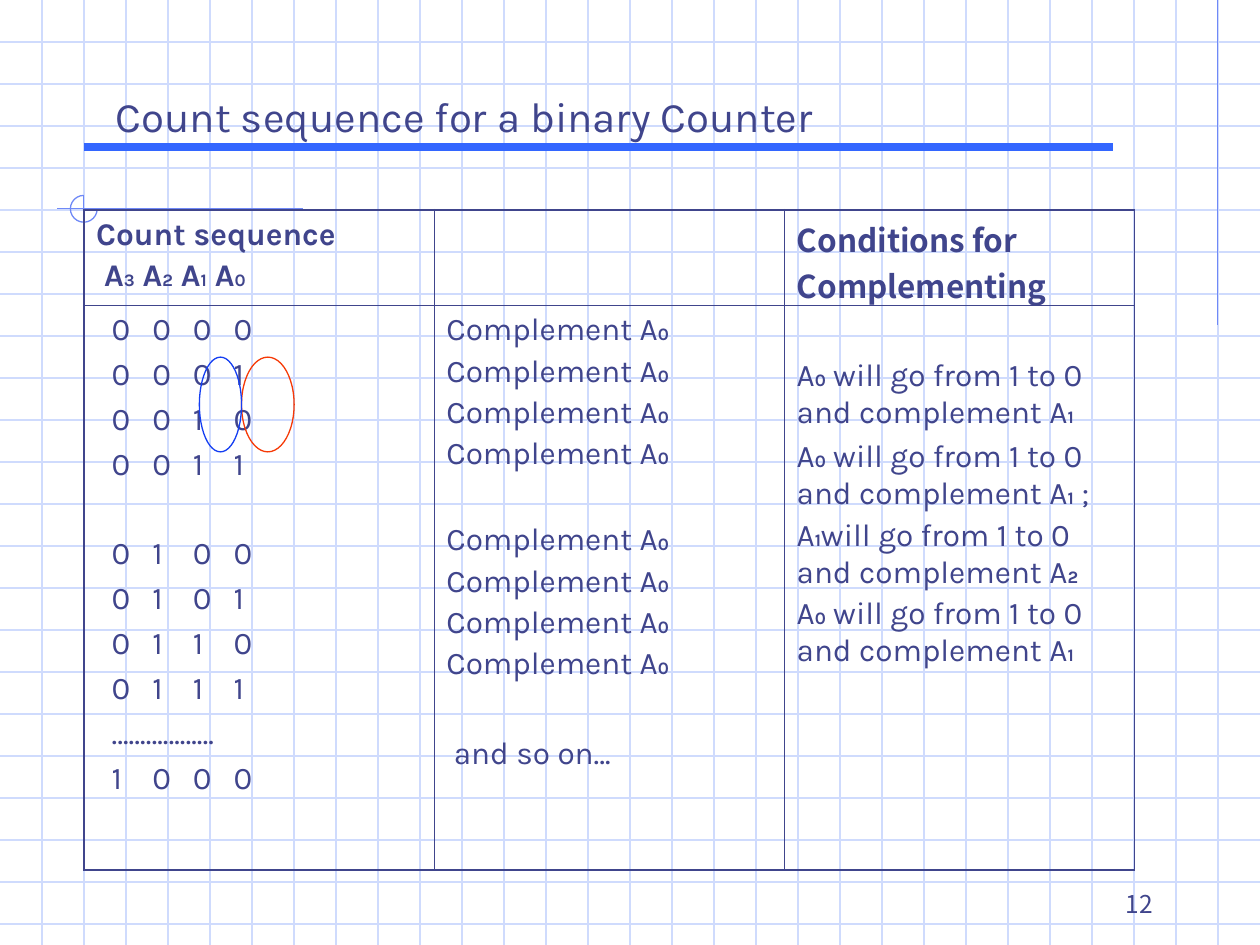
from dataclasses import dataclass

from lxml.etree import SubElement
from pptx import Presentation
from pptx.dml.color import RGBColor as RGB
from pptx.enum.shapes import MSO_CONNECTOR as Connector, MSO_SHAPE as Shape
from pptx.enum.text import MSO_ANCHOR as Anchor, MSO_AUTO_SIZE as AutoSize, PP_ALIGN as Align
from pptx.oxml.ns import qn
from pptx.util import Cm, Pt


@dataclass(frozen=True)
class Theme:
    ink: str = "40458C"
    grid: str = "CFDBFD"
    accent: str = "6F89F7"
    rule: str = "3366FF"
    red: str = "F63906"
    blue: str = "143EF2"
    font: str = "Karla"
    heading_font: str = "Noto Sans CJK KR"
    title_size: int = 24
    body_size: int = 18
    number_size: int = 14
    subscript_size: int = 10


theme = Theme()


def draw_line(x1, y1, x2, y2, color, width=0.75):
    line = slide.shapes.add_connector(Connector.STRAIGHT, Cm(x1), Cm(y1), Cm(x2), Cm(y2))
    line.line.color.rgb = RGB.from_string(color)
    line.line.width = Pt(width)
    SubElement(line._element.spPr, qn("a:effectLst"))


def write(paragraph, text, size, font=theme.font, bold=False):
    """Fill a paragraph; a character after an underscore becomes a small bold index."""
    first, *rest = text.split("_")
    pieces = [(first, False)]
    for part in rest:
        pieces += [(part[0], True), (part[1:], False)]
    for piece, is_index in pieces:
        if piece:
            run = paragraph.add_run()
            run.text = piece
            run.font.name = font
            run.font.size = Pt(theme.subscript_size if is_index else size)
            run.font.bold = bold or is_index
            run.font.color.rgb = RGB.from_string(theme.ink)


deck = Presentation()
deck.slide_width, deck.slide_height = Cm(25.4), Cm(19.05)
slide = deck.slides.add_slide(deck.slide_layouts[5])

# Squared paper with its corner ornament
pitch = 25.4 / 30
for row in range(1, 23):
    draw_line(0, row * pitch, 25.4, row * pitch, theme.grid)
for column in range(1, 30):
    draw_line(column * pitch, 0, column * pitch, 19.05, theme.grid)
draw_line(24.55, 0, 24.55, 6.55, theme.accent)
draw_line(6.1, 4.21, 1.14, 4.21, theme.accent)
draw_line(1.69, 3.94, 1.69, 10.39, theme.accent)
corner = slide.shapes.add_shape(Shape.ARC, Cm(1.42), Cm(3.94), Cm(0.54), Cm(0.54))
corner.adjustments[0], corner.adjustments[1] = 0, 162  # right round to top
corner.shadow.inherit = False
corner.fill.background()
corner.line.color.rgb = RGB.from_string(theme.accent)
corner.line.width = Pt(0.75)
draw_line(1.69, 2.96, 22.43, 2.96, theme.rule, 4.5)

# Title, brought in front of the grid
title = slide.shapes.title
title.element.getparent().append(title.element)
title.left, title.top, title.width, title.height = Cm(2.08), Cm(1.7), Cm(15.19), Cm(1.27)
title.text_frame.word_wrap = False
title.text_frame.auto_size = AutoSize.NONE
title.text_frame.vertical_anchor = Anchor.TOP
heading = title.text_frame.paragraphs[0]
heading.alignment = Align.LEFT
write(heading, "Count sequence for a binary Counter", theme.title_size)

page_number = slide.shapes.add_textbox(Cm(18.2), Cm(17.36), Cm(5.29), Cm(1.27)).text_frame
page_number.word_wrap = True
page_number.vertical_anchor = Anchor.BOTTOM
page_number.paragraphs[0].alignment = Align.RIGHT
write(page_number.paragraphs[0], "12", theme.number_size, theme.heading_font)

# Each cell holds (text, space before) pairs; the wide spaces separate groups
counts = ["0000", "0001", "0010", "0011", "0100", "0101", "0110", "0111", "………………", "1000"]
count_rows = [
    ("\t" + (count if "…" in count else "\t".join(count)), 30 if count == "0100" else 4.5)
    for count in counts
]
complement_rows = [("Complement A_0", 28 if step == 4 else 2.5) for step in range(8)]
complement_rows.append((" and so on…", 30))
condition_rows = [
    ("A_0 will go from 1 to 0 and complement A_1", 0),
    ("A_0 will go from 1 to 0 and complement A_1 ;", 4.5),
    ("A_1will go from 1 to 0 and complement A_2", 2.5),
    ("A_0 will go from 1 to 0 and complement A_1", 2.5),
]
contents = [
    [[("Count sequence", 0), (" A_3 A_2 A_1 A_0", 2.5)], [], [("Conditions for Complementing", 0)]],
    [count_rows, complement_rows, condition_rows],
]

table = slide.shapes.add_table(2, 3, Cm(1.69), Cm(4.23), Cm(21.18), Cm(13.31)).table
table.first_row = table.horz_banding = False
for column in table.columns:
    column.width = Cm(7.06)
table.rows[0].height, table.rows[1].height = Cm(1.93), Cm(11.38)

for r, row in enumerate(contents):
    for c, entries in enumerate(row):
        cell = table.cell(r, c)
        cell.margin_left = cell.margin_right = Cm(0.25)
        cell.margin_top = Cm(1.04) if entries is condition_rows else Cm(0.13)
        cell.margin_bottom = Cm(0)
        outer_edges = {"lnL": c == 0, "lnR": c == 2, "lnT": r == 0, "lnB": r == 1}
        for edge, is_outer in outer_edges.items():
            width = Pt(1.08 if is_outer else 0.45)
            border = SubElement(cell._tc.get_or_add_tcPr(), qn(f"a:{edge}"), w=str(width))
            SubElement(SubElement(border, qn("a:solidFill")), qn("a:srgbClr"), val=theme.ink)
        cell.fill.background()

        font = theme.heading_font if (r, c) == (0, 2) else theme.font
        for i, (text, gap) in enumerate(entries):
            frame = cell.text_frame
            paragraph = frame.add_paragraph() if i else frame.paragraphs[0]
            if text.startswith("\t"):
                stops = SubElement(paragraph._p.get_or_add_pPr(), qn("a:tabLst"))
                for digit in range(4):
                    SubElement(stops, qn("a:tab"), pos=str(Cm(0.31 + 0.82 * digit)), algn="l")
            paragraph.space_before = Pt(gap if i else 0)
            write(paragraph, text, theme.body_size, font, bold=r == 0)

for left, width, color in [(4.87, 1.06, theme.red), (4.02, 0.85, theme.blue)]:
    ring = slide.shapes.add_shape(Shape.OVAL, Cm(left), Cm(7.2), Cm(width), Cm(1.91))
    ring.shadow.inherit = False
    ring.fill.background()
    ring.line.color.rgb = RGB.from_string(color)
    ring.line.width = Pt(0.75)

deck.save("out.pptx")
